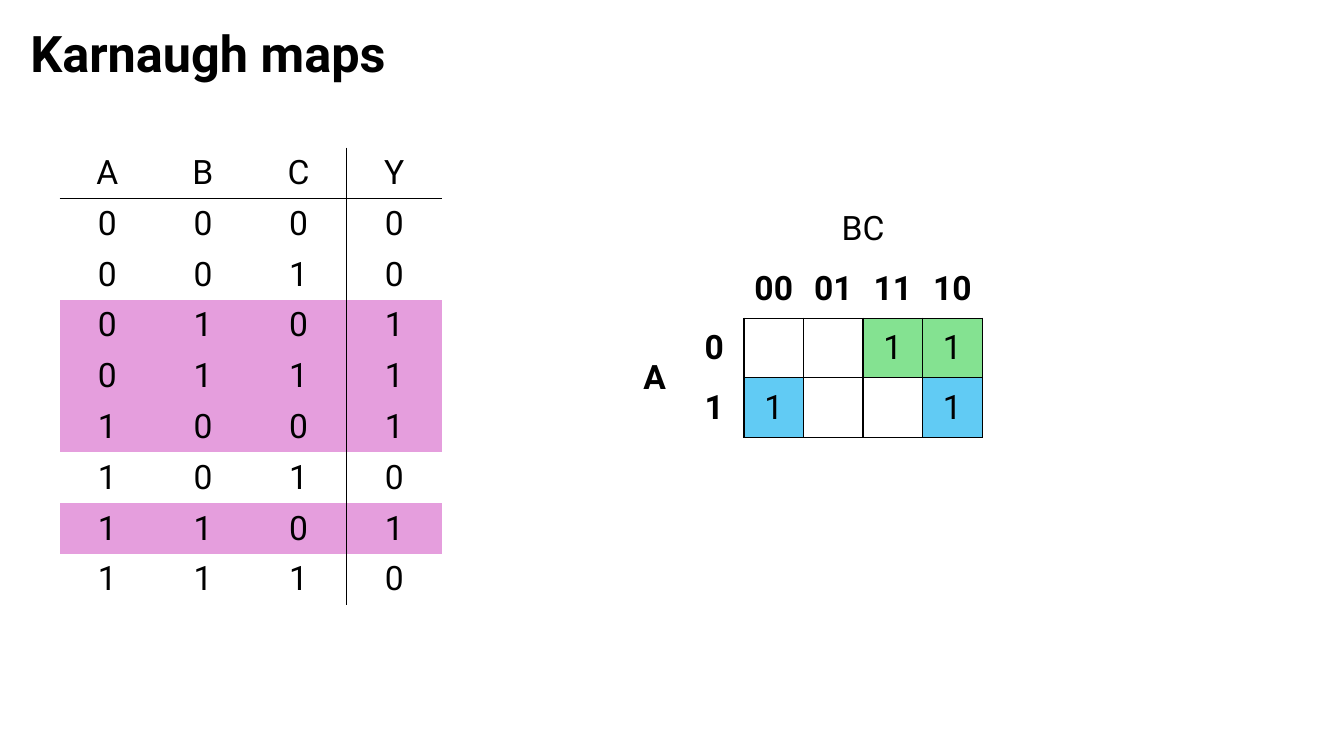
from itertools import product

from lxml.etree import SubElement as Sub, Element
from pptx import Presentation
from pptx.dml.color import RGBColor as RGB
from pptx.enum.text import MSO_ANCHOR as Anchor, MSO_AUTO_SIZE as Auto, PP_ALIGN as Align
from pptx.oxml.ns import qn
from pptx.util import Cm, Pt

HUES = {"ink": "000000", "paper": "FFFFFF", "pink": "E59EDD", "green": "84E291", "blue": "61CBF4"}


class Deck:
    """Hold the style and the current slide, and draw elements on it."""

    def __init__(self, face="Roboto", size=24):
        self.face, self.size = face, size
        self.prs = Presentation()
        self.prs.slide_width, self.prs.slide_height = Cm(33.87), Cm(19.05)
        self.slide = self.prs.slides.add_slide(self.prs.slide_layouts[5])

    def style(self, para, size, bold, align):
        para.alignment = align
        font = para.font
        font.name, font.size, font.bold = self.face, Pt(size), bold
        font.color.rgb = RGB.from_string(HUES["ink"])

    def title(self, text, x, y, w, h):
        box = self.slide.shapes.title
        box.left, box.top, box.width, box.height = Cm(x), Cm(y), Cm(w), Cm(h)
        frame = box.text_frame
        frame.text, frame.word_wrap = text, True
        frame.auto_size, frame.vertical_anchor = Auto.NONE, Anchor.MIDDLE
        self.style(frame.paragraphs[0], 36, True, Align.LEFT)

    def edges(self, cell, sides):
        props = cell._tc.get_or_add_tcPr()
        for i, side in enumerate("LRTB"):
            line = Element(qn(f"a:ln{side}"), w=str(Pt(1)))
            if side in sides:
                fill = Sub(line, qn("a:solidFill"))
                Sub(fill, qn("a:srgbClr"), val=HUES["ink"])
            else:
                Sub(line, qn("a:noFill"))
            props.insert(i, line)

    def table(self, rows, x, y, w, h, look):
        high, wide = len(rows), len(rows[0])
        grid = self.slide.shapes.add_table(high, wide, Cm(x), Cm(y), Cm(w * wide), Cm(h * high)).table
        grid.first_row = grid.horz_banding = False
        for r, c in product(range(high), range(wide)):
            cell = grid.cell(r, c)
            hue, bold, sides = look(r, c)
            cell.text, cell.vertical_anchor = rows[r][c], Anchor.MIDDLE
            cell.margin_left = cell.margin_right = 0
            cell.fill.solid()
            cell.fill.fore_color.rgb = RGB.from_string(HUES[hue])
            self.edges(cell, sides)
            self.style(cell.text_frame.paragraphs[0], self.size, bold, Align.CENTER)
        return grid


def main():
    deck = Deck()
    deck.title("Karnaugh maps", 0.51, 0.43, 32.84, 1.8)

    truth = ["ABCY"] + ["".join(bits) + y for bits, y in zip(product("01", repeat=3), "00111010")]

    def truth_look(r, c):
        sides = {0: "B", 1: "T"}.get(r, "") + {2: "R", 3: "L"}.get(c, "")
        return "pink" if truth[r][3] == "1" else "paper", False, sides

    deck.table(truth, 1.5, 3.72, 2.41, 1.28, truth_look)

    kmap = [
        ["", "", "BC", "", "", ""],
        ["", "", "00", "01", "11", "10"],
        ["A", "0", "", "", "1", "1"],
        ["", "1", "1", "", "", "1"],
    ]

    def map_look(r, c):
        if r > 1 and c > 1:
            hue = {2: "green", 3: "blue"}[r] if kmap[r][c] else "paper"
            return hue, False, "LRTB"
        sides = "B" if r == 1 and c > 1 else "R" if r > 1 and c == 1 else ""
        return "paper", r > 0, sides

    grid = deck.table(kmap, 15.75, 5.02, 1.5, 1.5, map_look)
    grid.cell(0, 2).merge(grid.cell(0, 5))
    grid.cell(2, 0).merge(grid.cell(3, 0))
    deck.prs.save("out.pptx")


if __name__ == "__main__":
    main()
